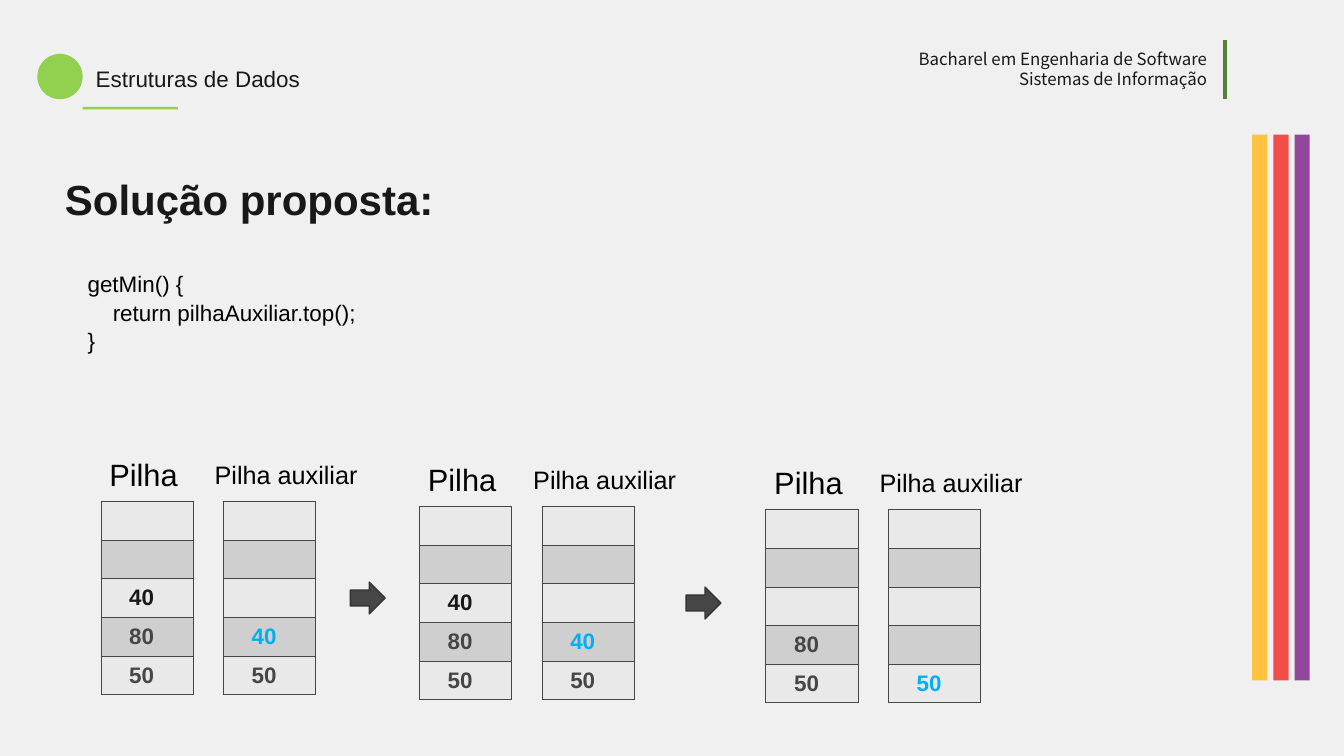
"""Build the slide that shows getMin on a stack with an auxiliary stack."""
from lxml.etree import SubElement
from pptx import Presentation
from pptx.dml.color import RGBColor
from pptx.enum.shapes import MSO_CONNECTOR, MSO_SHAPE
from pptx.enum.text import MSO_ANCHOR, PP_ALIGN
from pptx.oxml import parse_xml
from pptx.oxml.ns import nsdecls, qn
from pptx.util import Pt


def color(value):
    return RGBColor.from_string(value)


def add_text(text, left, top, width, height, size, ink="181818", font="Arial"):
    box = slide.shapes.add_textbox(Pt(left), Pt(top), Pt(width), Pt(height))
    frame = box.text_frame
    frame.word_wrap = True
    frame.text = text
    for para in frame.paragraphs:
        for span in para.runs:
            span.font.size = Pt(size)
            span.font.name = font
            span.font.color.rgb = color(ink)
    return frame


deck = Presentation()
deck.slide_width, deck.slide_height = Pt(1919.5), Pt(1080)
slide = deck.slides.add_slide(deck.slide_layouts[6])
slide.background.fill.solid()
slide.background.fill.fore_color.rgb = color("F0F0F0")

shapes = [
    (MSO_SHAPE.RECTANGLE, 118, 152.6, 136, 3.6, "92D050"),
    (MSO_SHAPE.OVAL, 53.3, 77, 64.8, 64.8, "92D050"),
    (MSO_SHAPE.RIGHT_ARROW, 500.4, 831.6, 49.7, 45.4, "464646"),
    (MSO_SHAPE.RIGHT_ARROW, 979.9, 838.8, 49.7, 45.4, "464646"),
]
for index, fill in enumerate(["FFC341", "F14D4B", "93479B"]):
    shapes.append((MSO_SHAPE.RECTANGLE, 1788.5 + 30.24 * index, 192.2, 21.6, 779.8, fill))
for kind, left, top, width, height, fill in shapes:
    shape = slide.shapes.add_shape(kind, Pt(left), Pt(top), Pt(width), Pt(height))
    shape.shadow.inherit = False
    shape.fill.solid()
    shape.fill.fore_color.rgb = color(fill)
    if kind == MSO_SHAPE.RIGHT_ARROW:
        shape.line.color.rgb = color("343434")
        shape.line.width = Pt(2)
    else:
        shape.line.fill.background()

divider = slide.shapes.add_connector(
    MSO_CONNECTOR.STRAIGHT, Pt(1749.6), Pt(57.6), Pt(1749.6), Pt(141.8))
divider.line.color.rgb = color("548235")
divider.line.width = Pt(5)
SubElement(divider.element.spPr, qn("a:effectLst"))

add_text("Estruturas de Dados", 129.6, 90, 1155.6, 46, 32)
heading = add_text("Solução proposta:", 85.7, 222.5, 1594, 280.8, 60)
heading.paragraphs[0].line_spacing = 1.3
heading.paragraphs[0].runs[0].font.bold = True
course = add_text("Bacharel em Engenharia de Software\nSistemas de Informação",
                  1285.2, 66.2, 445.7, 65.5, 24, font="Noto Sans CJK KR")
course.word_wrap = False
for para in course.paragraphs:
    para.alignment = PP_ALIGN.RIGHT
code = add_text("getMin() {\n\treturn pilhaAuxiliar.top();\n}",
                118, 380.9, 1310.4, 162.7, 32, "000000")
for para in code.paragraphs:
    para.line_spacing = 1.05

GRAY, DARK, BLUE = "464646", "181818", "00B0F0"
full = {2: ("40", DARK), 3: ("80", GRAY), 4: ("50", GRAY)}
full_minimums = {3: ("40", BLUE), 4: ("50", GRAY)}
popped = {3: ("80", GRAY), 4: ("50", GRAY)}
popped_minimums = {4: ("50", BLUE)}
stages = [
    (144, 716.4, full, full_minimums),
    (599, 723.6, full, full_minimums),
    (1093.7, 728, popped, popped_minimums),
]
ROW_HEIGHT, STACK_WIDTH, STACK_GAP = 55.2, 131.8, 175
for left, top, stack, minimums in stages:
    add_text("Pilha", left + 5, top - 68.4, 180, 60.5, 44, "000000")
    add_text("Pilha auxiliar", left + 155.5, top - 64, 317.5, 51.1, 36, "000000")
    for stack_left, values in [(left, stack), (left + STACK_GAP, minimums)]:
        table = slide.shapes.add_table(
            5, 1, Pt(stack_left), Pt(top), Pt(STACK_WIDTH), Pt(5 * ROW_HEIGHT)).table
        for row in range(5):
            cell = table.cell(row, 0)
            text, ink = values.get(row, ("", GRAY))
            cell.text = text
            cell.margin_left = Pt(40.5)
            cell.vertical_anchor = MSO_ANCHOR.MIDDLE
            para = cell.text_frame.paragraphs[0]
            para.font.size = Pt(32)
            for span in para.runs:
                span.font.size = Pt(32)
                span.font.name = "Arial"
                span.font.bold = True
                span.font.color.rgb = color(ink)
            properties = cell._tc.get_or_add_tcPr()
            for side in ["lnL", "lnR", "lnT", "lnB"]:
                properties.append(parse_xml(
                    f'<a:{side} {nsdecls("a")} w="12700"><a:solidFill>'
                    f'<a:srgbClr val="{GRAY}"/></a:solidFill></a:{side}>'))
            cell.fill.solid()
            cell.fill.fore_color.rgb = color("CFCFCF" if row % 2 else "E9E9E9")

deck.save("out.pptx")
